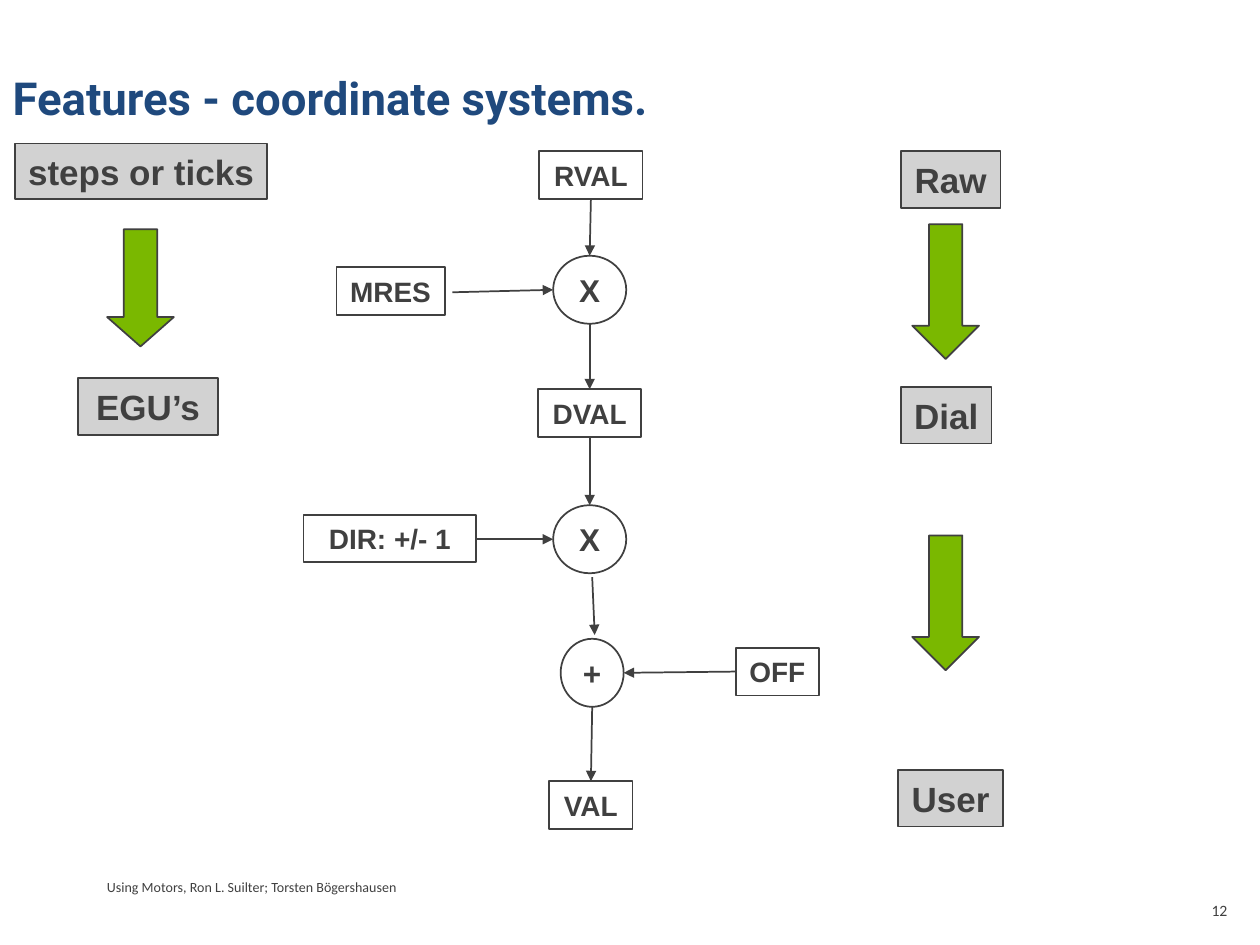
"""Build the motor coordinate systems slide."""
from dataclasses import dataclass

import lxml.etree
import pptx
import pptx.dml.color
import pptx.enum.shapes
import pptx.enum.text
import pptx.oxml.ns
import pptx.slide
import pptx.util
from pptx.util import Inches

SHAPES = pptx.enum.shapes.MSO_SHAPE
ALIGN = pptx.enum.text.PP_ALIGN
ANCHOR = pptx.enum.text.MSO_ANCHOR
COLOURS = {"ink": "404040", "title": "1F497D", "label": "D2D2D2", "arrow": "7AB800"}


@dataclass(frozen=True)
class Style:
    geometry: pptx.enum.shapes.MSO_SHAPE
    size: int
    fill: str | None = None


@dataclass(frozen=True)
class Node:
    text: str
    style: Style
    left: float
    top: float
    width: float
    height: float


@dataclass(frozen=True)
class Flow:
    start: tuple[float, float]
    end: tuple[float, float]


@dataclass(frozen=True)
class BlockArrow:
    left: float
    top: float
    length: float
    head: float


RECORD = Style(SHAPES.RECTANGLE, 16)
OPERATOR = Style(SHAPES.OVAL, 18)
LABEL = Style(SHAPES.RECTANGLE, 20, "label")

NODES = [
    Node("X", OPERATOR, 4.39, 2.03, 0.58, 0.54),
    Node("RVAL", RECORD, 4.28, 1.2, 0.82, 0.38),
    Node("MRES", RECORD, 2.67, 2.12, 0.86, 0.38),
    Node("DIR: +/- 1", RECORD, 2.41, 4.09, 1.37, 0.37),
    Node("OFF", RECORD, 5.84, 5.14, 0.66, 0.38),
    Node("X", OPERATOR, 4.39, 4.01, 0.58, 0.54),
    Node("DVAL", RECORD, 4.27, 3.09, 0.82, 0.38),
    Node("VAL", RECORD, 4.36, 6.2, 0.66, 0.38),
    Node("+", OPERATOR, 4.45, 5.07, 0.5, 0.54),
    Node("Raw", LABEL, 7.15, 1.2, 0.79, 0.45),
    Node("Dial", LABEL, 7.15, 3.07, 0.72, 0.45),
    Node("User", LABEL, 7.13, 6.11, 0.83, 0.45),
    Node("EGU’s", LABEL, 0.62, 3, 1.11, 0.45),
    Node("steps or ticks", LABEL, 0.12, 1.14, 2, 0.44),
]
FLOWS = [
    Flow((4.69, 1.58), (4.68, 2.03)),
    Flow((3.59, 2.32), (4.39, 2.3)),
    Flow((4.68, 2.57), (4.68, 3.09)),
    Flow((4.68, 3.48), (4.68, 4.01)),
    Flow((3.78, 4.28), (4.39, 4.28)),
    Flow((4.7, 4.58), (4.72, 5.04)),
    Flow((5.84, 5.33), (4.95, 5.34)),
    Flow((4.7, 5.61), (4.69, 6.2)),
]
BLOCK_ARROWS = [
    BlockArrow(6.97, 2.05, 1.07, 0.5),
    BlockArrow(6.97, 4.52, 1.07, 0.5),
    BlockArrow(0.65, 2.02, 0.93, 0.44),
]


def colour(name: str) -> pptx.dml.color.RGBColor:
    """Return the named palette colour."""
    return pptx.dml.color.RGBColor.from_string(COLOURS[name])


def format_text(frame, text: str, font: str, size: int, ink: str = "ink",
                bold: bool = False, align=ALIGN.LEFT) -> None:
    """Fill a text frame with one formatted paragraph."""
    frame.text = text
    paragraph = frame.paragraphs[0]
    paragraph.alignment = align
    paragraph.font.name = font
    paragraph.font.size = pptx.util.Pt(size)
    paragraph.font.bold = bold
    paragraph.font.color.rgb = colour(ink)


def set_look(shape, fill: str | None) -> None:
    """Give a shape its fill and thin outline without a shadow."""
    shape.shadow.inherit = False
    if fill:
        shape.fill.solid()
        shape.fill.fore_color.rgb = colour(fill)
    else:
        shape.fill.background()
    shape.line.color.rgb = colour("ink")
    shape.line.width = pptx.util.Pt(1)


def add_title(slide: pptx.slide.Slide, text: str) -> None:
    """Place and format the title placeholder."""
    title = slide.shapes.title
    title.left, title.top = Inches(0), Inches(0.52)
    title.width, title.height = Inches(9.58), Inches(0.5)
    frame = title.text_frame
    frame.vertical_anchor = ANCHOR.BOTTOM
    frame.margin_top = frame.margin_bottom = Inches(0.03)
    frame.auto_size = pptx.enum.text.MSO_AUTO_SIZE.NONE
    format_text(frame, text, "Roboto", 26, "title", True)


def add_note(slide: pptx.slide.Slide, text: str, left: float, top: float,
             width: float, height: float, size: int, align) -> None:
    """Add a line of small footer text."""
    box = slide.shapes.add_textbox(Inches(left), Inches(top), Inches(width), Inches(height))
    box.text_frame.word_wrap = True
    format_text(box.text_frame, text, "Calibri", size, align=align)


def add_node(slide: pptx.slide.Slide, node: Node) -> None:
    """Add a labelled box or operator circle."""
    shape = slide.shapes.add_shape(node.style.geometry, Inches(node.left), Inches(node.top),
                                   Inches(node.width), Inches(node.height))
    set_look(shape, node.style.fill)
    frame = shape.text_frame
    frame.word_wrap = False
    frame.vertical_anchor = ANCHOR.MIDDLE
    format_text(frame, node.text, "Arial", node.style.size, bold=True, align=ALIGN.CENTER)


def add_flow(slide: pptx.slide.Slide, flow: Flow) -> None:
    """Add a thin connector with a triangular arrowhead."""
    connector = slide.shapes.add_connector(pptx.enum.shapes.MSO_CONNECTOR.STRAIGHT,
                                           *map(Inches, flow.start + flow.end))
    connector.line.color.rgb = colour("ink")
    connector.line.width = pptx.util.Pt(1)
    qualify = pptx.oxml.ns.qn
    line = connector.line._get_or_add_ln()
    lxml.etree.SubElement(line, qualify("a:tailEnd"), type="triangle")
    lxml.etree.SubElement(connector._element.spPr, qualify("a:effectLst"))


def add_block_arrow(slide: pptx.slide.Slide, arrow: BlockArrow) -> None:
    """Add a thick arrow pointing down."""
    shape = slide.shapes.add_shape(SHAPES.RIGHT_ARROW, Inches(arrow.left), Inches(arrow.top),
                                   Inches(arrow.length), Inches(0.53))
    shape.rotation = 90
    shape.adjustments[0] = 0.5
    shape.adjustments[1] = arrow.head
    set_look(shape, "arrow")


def main() -> None:
    """Create and save the presentation."""
    presentation = pptx.Presentation()
    presentation.slide_width, presentation.slide_height = Inches(10), Inches(7.5)
    slide = presentation.slides.add_slide(presentation.slide_layouts[5])
    add_title(slide, "Features - coordinate systems.")
    add_note(slide, "Using Motors, Ron L. Suilter; Torsten Bögershausen",
             0.75, 6.92, 7.5, 0.24, 8, ALIGN.LEFT)
    for node in NODES:
        add_node(slide, node)
    for flow in FLOWS:
        add_flow(slide, flow)
    for arrow in BLOCK_ARROWS:
        add_block_arrow(slide, arrow)
    add_note(slide, "12", 9.42, 7.1, 0.42, 0.4, 9, ALIGN.RIGHT)
    presentation.save("out.pptx")


if __name__ == "__main__":
    main()
